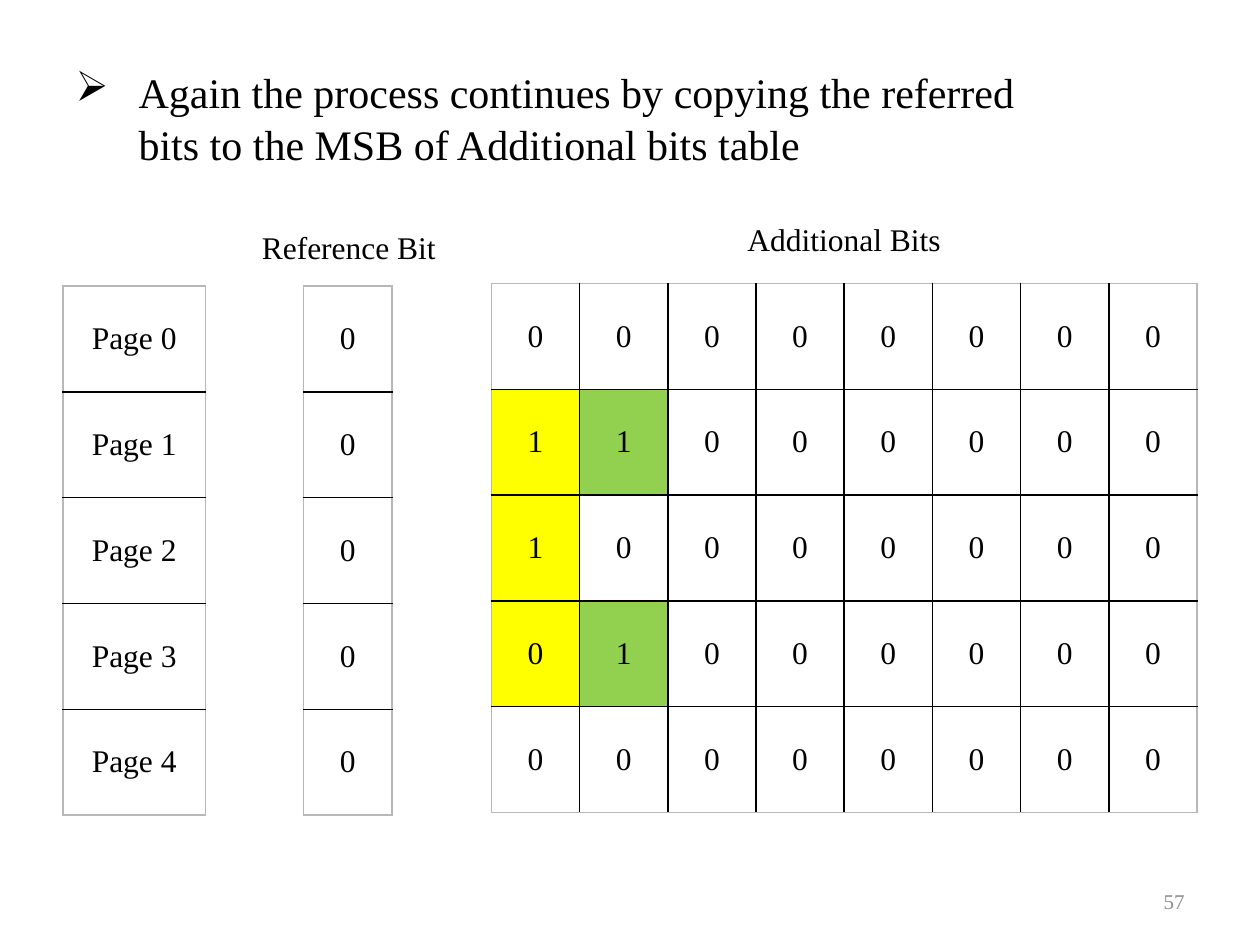
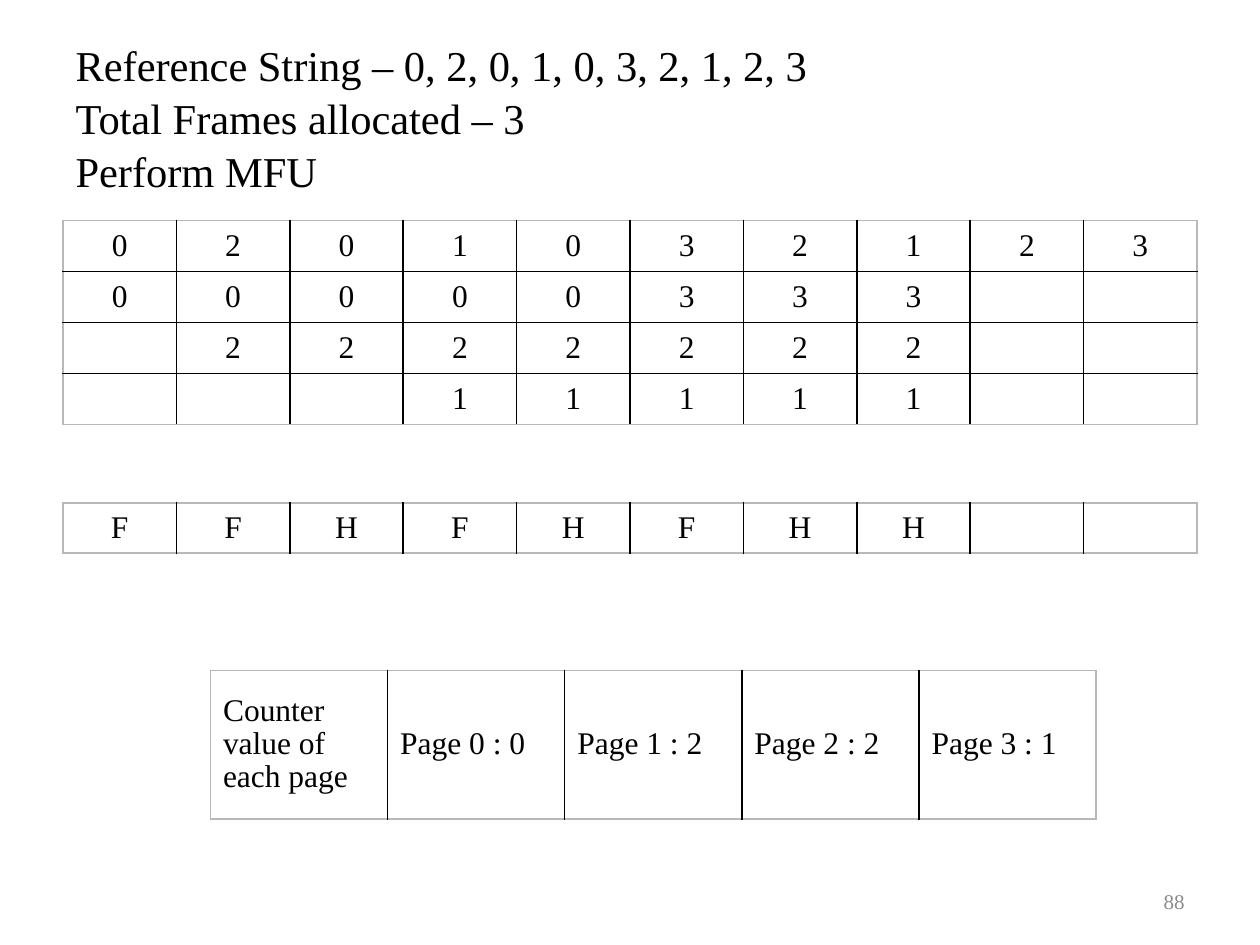
from lxml.etree import SubElement
from pptx import Presentation
from pptx.dml.color import RGBColor as RGB
from pptx.enum.text import MSO_ANCHOR as ANCHOR, MSO_AUTO_SIZE as AUTO, PP_ALIGN as ALIGN
from pptx.oxml.ns import qn
from pptx.util import Pt

PX = 9144  # EMU per px, 100 px to the inch
FONT = "Times New Roman"
COLORS = {"ink": "000000", "edge": "B8B8B8", "number": "8C8C8C",
          "white": "FFFFFF", "new": "FFFF00", "shifted": "92D050"}


def add_text(p, text, size=18, color="ink", align=ALIGN.LEFT):
    p.alignment = align
    r = p.add_run()
    r.text = text
    r.font.name, r.font.size = FONT, Pt(size)
    r.font.color.rgb = RGB.from_string(COLORS[color])


def add_grid(s, box, rows, fills=None, base=None, align=ALIGN.CENTER):
    """Table with black inner rules and a grey edge; fills maps (row, col) to a colour."""
    n_rows, n_cols = len(rows), len(rows[0])
    x, y, w, h = [v * PX for v in box]
    t = s.shapes.add_table(n_rows, n_cols, x, y, w, h).table
    t.first_row = t.horz_banding = False
    for i, row in enumerate(rows):
        for j, text in enumerate(row):
            cell = t.cell(i, j)
            cell.vertical_anchor = ANCHOR.MIDDLE
            outer = {"lnL": j == 0, "lnR": j == n_cols - 1,
                     "lnT": i == 0, "lnB": i == n_rows - 1}
            for side, is_edge in outer.items():
                ln = SubElement(cell._tc.get_or_add_tcPr(), qn("a:" + side), w="12700")
                fill = SubElement(ln, qn("a:solidFill"))
                SubElement(fill, qn("a:srgbClr"), val=COLORS["edge" if is_edge else "ink"])
            color = (fills or {}).get((i, j), base)
            if color:
                cell.fill.solid()
                cell.fill.fore_color.rgb = RGB.from_string(COLORS[color])
            else:
                cell.fill.background()
            if text.strip():
                p = cell.text_frame.paragraphs[0]
                add_text(p, text, align=align)
                if align == ALIGN.LEFT:
                    p.line_spacing = 0.95


prs = Presentation()
prs.slide_width, prs.slide_height = 1000 * PX, 750 * PX

# Shared frame: title and slide number
slides = [
    (57, 796, 24, ["Again the process continues by copying the referred bits "
                   "to the MSB of Additional bits table"]),
    (88, 900, 24.3, ["Reference String – 0, 2, 0, 1, 0, 3, 2, 1, 2, 3",
                     "Total Frames allocated – 3 ", "Perform MFU"]),
]
for number, width, size, lines in slides:
    s = prs.slides.add_slide(prs.slide_layouts[5])
    title = s.shapes.title
    title.left, title.top, title.width, title.height = 50 * PX, 30 * PX, width * PX, 125 * PX
    tf = title.text_frame
    tf.auto_size, tf.vertical_anchor = AUTO.NONE, ANCHOR.MIDDLE
    p = tf.paragraphs[0]
    p.line_spacing = 1.04
    for k, line in enumerate(lines):
        if k:
            p.add_line_break()
        add_text(p, line, size)

    tf = s.shapes.add_textbox(717 * PX, 695 * PX, 233 * PX, 40 * PX).text_frame
    tf.word_wrap, tf.vertical_anchor = True, ANCHOR.MIDDLE
    add_text(tf.paragraphs[0], str(number), 12, "number", ALIGN.RIGHT)

bits_slide, mfu_slide = prs.slides

# Slide 1: arrow bullet on the title
pPr = bits_slide.shapes.title.text_frame.paragraphs[0]._p.get_or_add_pPr()
pPr.set("marL", str(50 * PX))
pPr.set("indent", str(-50 * PX))
SubElement(pPr, qn("a:buChar"), char="➢")

# Slide 1: page, reference bit and additional bits tables
bits = ["00000000", "11000000", "10000000", "01000000", "00000000"]
fills = {(1, 0): "new", (2, 0): "new", (3, 0): "new",
         (1, 1): "shifted", (3, 1): "shifted"}
add_grid(bits_slide, (390, 225, 560, 420), bits, fills)
add_grid(bits_slide, (241, 227, 70, 420), ["0"] * 5, base="white")
add_grid(bits_slide, (50, 227, 113, 420), [[f"Page {n}"] for n in range(5)])

for text, x, y, w, align in [("Reference Bit", 198, 176, 189, ALIGN.LEFT),
                             ("Additional Bits", 390, 170, 560, ALIGN.CENTER)]:
    tf = bits_slide.shapes.add_textbox(x * PX, y * PX, w * PX, 40 * PX).text_frame
    tf.word_wrap = True
    add_text(tf.paragraphs[0], text, align=align)

# Slide 2: frames per reference, faults and hits, page counters
frames = ["0201032123", "00000333  ", " 2222222  ", "   11111  "]
add_grid(mfu_slide, (50, 175, 900, 162), frames)
add_grid(mfu_slide, (50, 399, 900, 39), ["FFHFHFHH  "])
counters = [f"Page {n} : {count}" for n, count in enumerate([0, 2, 2, 1])]
add_grid(mfu_slide, (167, 532, 703, 118), [["Counter value of each page"] + counters],
         align=ALIGN.LEFT)

prs.save("out.pptx")
